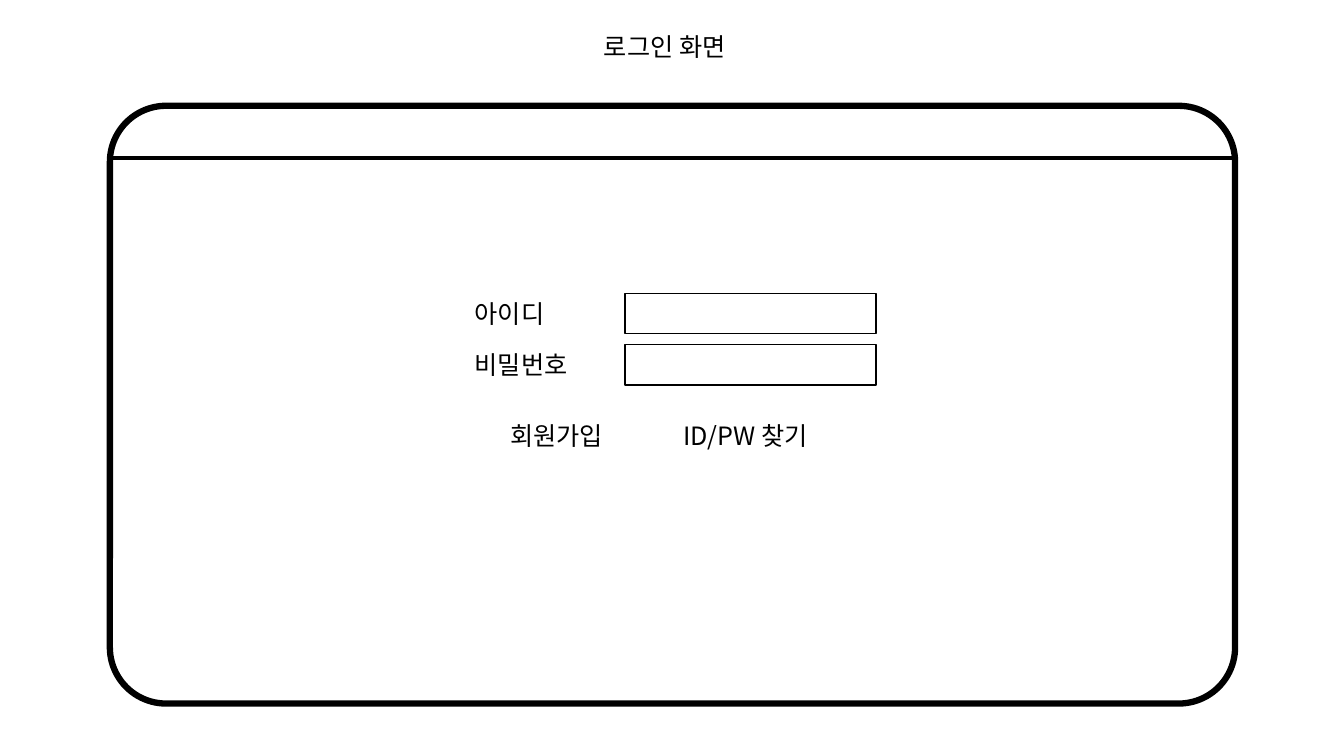
"""Build the login screen wireframe slide."""
from pptx import Presentation
from pptx.dml.color import RGBColor
from pptx.enum.shapes import MSO_CONNECTOR as CONNECTOR, MSO_SHAPE as SHAPE
from pptx.enum.text import MSO_ANCHOR as ANCHOR, MSO_AUTO_SIZE as AUTO_SIZE, PP_ALIGN as ALIGN
from pptx.oxml.ns import qn
from pptx.util import Inches, Pt
from lxml.etree import SubElement

TITLE = ("로그인 화면", 5.89, 0.26, 1.55)
FIELDS = [("아이디", 0.96), ("비밀번호", 1.21)]
LINKS = [("회원가입", 4.96, 1.21), ("ID/PW 찾기", 6.68, 1.53)]

COLORS = {"ink": "000000"}
FONT, FONT_SIZE = "Noto Sans CJK KR", 18
WINDOW = (1.09, 1.05, 11.16, 5.93)
WINDOW_RADIUS, BAR_HEIGHT = 0.094, 0.52
ROW_HEIGHT, ROW_STEP = 0.4, 0.51
FIELD_TOP, LABEL_LEFT = 2.91, 4.61
INPUT_LEFT, INPUT_WIDTH = 6.2, 2.49
LINK_TOP = 4.12

deck = Presentation()
deck.slide_width, deck.slide_height = Inches(13.33), Inches(7.5)
page = deck.slides.add_slide(deck.slide_layouts[5])
ink = RGBColor.from_string(COLORS["ink"])


def write(box, text, left, top, width):
    """Place a one-line text box and format its text."""
    box.left, box.top = Inches(left), Inches(top)
    box.width, box.height = Inches(width), Inches(ROW_HEIGHT)
    frame = box.text_frame
    frame.text = text
    frame.word_wrap = False
    frame.auto_size = AUTO_SIZE.SHAPE_TO_FIT_TEXT
    frame.vertical_anchor = ANCHOR.TOP
    para = frame.paragraphs[0]
    para.alignment = ALIGN.LEFT
    span = para.runs[0]
    span.font.name, span.font.size = FONT, Pt(FONT_SIZE)
    span.font.color.rgb = ink
    SubElement(span.font._element, qn("a:ea"), typeface=FONT)


def add_text(text, left, top, width):
    """Add a text box at the given place."""
    box = page.shapes.add_textbox(0, 0, 0, 0)
    write(box, text, left, top, width)


def add_outline(kind, bounds, weight):
    """Add an unfilled shape with a plain outline."""
    shape = page.shapes.add_shape(kind, *map(Inches, bounds))
    shape.shadow.inherit = False
    shape.fill.background()
    shape.line.color.rgb, shape.line.width = ink, Pt(weight)
    return shape


write(page.shapes.title, *TITLE)

window = add_outline(SHAPE.ROUNDED_RECTANGLE, WINDOW, 4.5)
window.adjustments[0] = WINDOW_RADIUS

left, top, width, _ = WINDOW
bar_y = Inches(top + BAR_HEIGHT)
bar = page.shapes.add_connector(
    CONNECTOR.STRAIGHT, Inches(left), bar_y, Inches(left + width), bar_y)
bar.line.color.rgb, bar.line.width = ink, Pt(3)
SubElement(bar._element.spPr, qn("a:effectLst"))

for row, (label, label_width) in enumerate(FIELDS):
    row_top = FIELD_TOP + row * ROW_STEP
    add_text(label, LABEL_LEFT, row_top, label_width)
    add_outline(SHAPE.RECTANGLE, (INPUT_LEFT, row_top, INPUT_WIDTH, ROW_HEIGHT), 1)

for label, link_left, link_width in LINKS:
    add_text(label, link_left, LINK_TOP, link_width)

deck.save("out.pptx")
